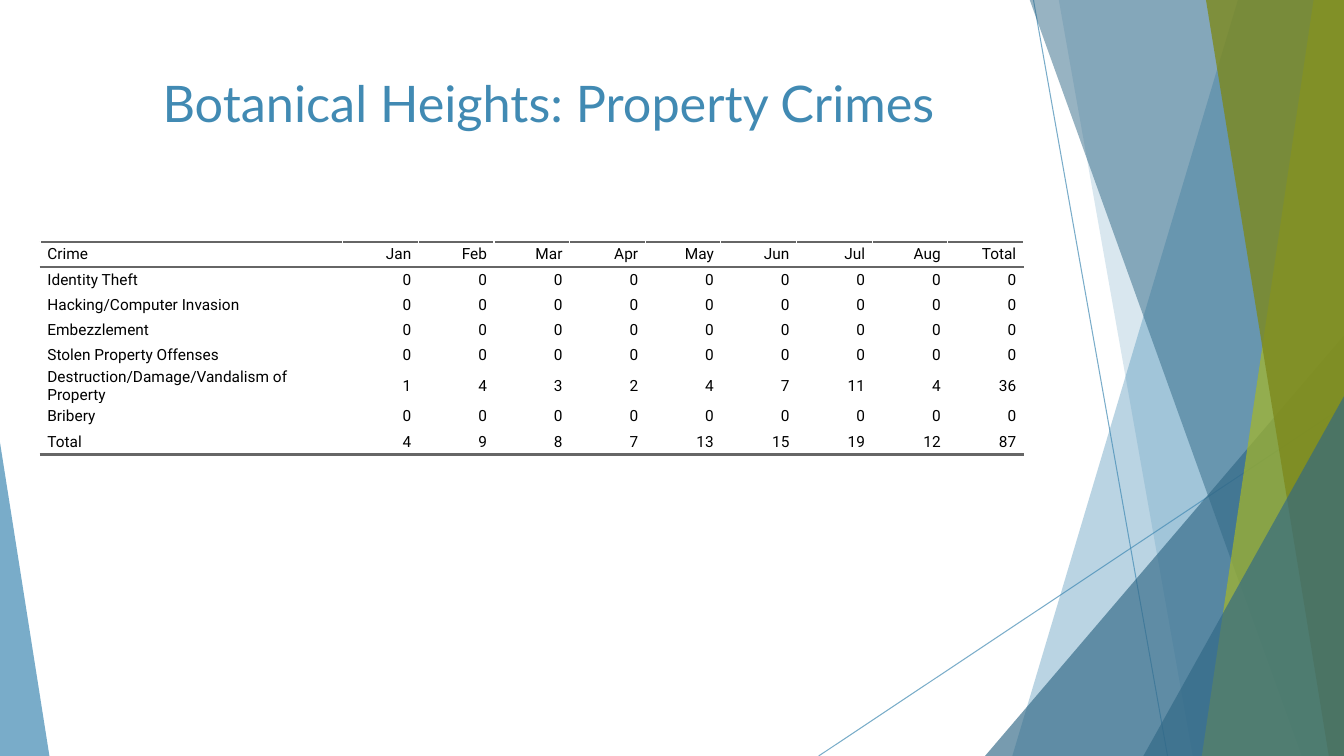
"""Build the Botanical Heights property crime slide."""
from dataclasses import dataclass

from lxml import etree
from pptx import Presentation
from pptx import util as u
from pptx.dml.color import RGBColor
from pptx.enum import shapes, text
from pptx.oxml.ns import qn

SCALE = 9144
WIDE, HIGH = 1333, 750
COLORS = {"sky": "418AB3", "navy": "316886", "lime": "A6B727",
          "olive": "7D891D", "rule": "666666", "ink": "000000"}
INSET = 7

HEAD = ["Crime", "Jan", "Feb", "Mar", "Apr", "May", "Jun", "Jul", "Aug", "Total"]
CRIMES = {
    "Identity Theft": [0] * 9,
    "Hacking/Computer Invasion": [0] * 9,
    "Embezzlement": [0] * 9,
    "Stolen Property Offenses": [0] * 9,
    "Destruction/Damage/Vandalism of Property": [1, 4, 3, 2, 4, 7, 11, 4, 36],
    "Bribery": [0] * 9,
    "Total": [4, 9, 8, 7, 13, 15, 19, 12, 87],
}


@dataclass
class Ray:
    """A thin line between two points."""
    start: tuple[int, int]
    end: tuple[int, int]


@dataclass
class Band:
    """A band from its slanted left edge to the right edge of the slide."""
    top: int
    foot: int
    color: str
    alpha: int


@dataclass
class Wedge:
    """A right triangle that stands on the bottom edge of the slide."""
    left: int
    top: int
    width: int
    tip: int
    color: str
    alpha: int


RAYS = [Ray((1025, 0), (1158, HIGH)), Ray((WIDE, 403), (812, HIGH))]
PANES = [
    Band(1228, 1004, "sky", 36),
    Band(1050, 1183, "sky", 20),
    Wedge(977, 333, 356, 1, "navy", 66),
    Band(1021, 1291, "navy", 50),
    Band(1303, 1192, "lime", 70),
    Band(1196, 1318, "olive", 80),
    Wedge(1134, 393, 199, 1, "navy", 66),
    Wedge(0, 439, 49, 0, "sky", 70),
]


def px(size: int) -> u.Emu:
    """Turn px into EMU."""
    return u.Emu(size * SCALE)


def rgb(name: str) -> RGBColor:
    """Look up a colour."""
    return RGBColor.from_string(COLORS[name])


def fade(fill, color: str, alpha: int) -> None:
    """Fill with a colour of the given opacity."""
    fill.solid()
    fill.fore_color.rgb = rgb(color)
    tint = fill._xPr.find(".//" + qn("a:srgbClr"))
    etree.SubElement(tint, qn("a:alpha"), val=str(alpha * 1000))


def draw_ray(slide, ray: Ray) -> None:
    """Draw one thin line."""
    line = slide.shapes.add_connector(
        shapes.MSO_CONNECTOR.STRAIGHT, *map(px, ray.start + ray.end))
    line.line.width = u.Pt(0.75)
    fade(line.line.fill, "sky", 70)
    etree.SubElement(line._element.spPr, qn("a:effectLst"))


def draw_pane(slide, pane: Band | Wedge) -> None:
    """Draw one translucent band or wedge."""
    if isinstance(pane, Band):
        pen = slide.shapes.build_freeform(pane.top, -1, scale=SCALE)
        pen.add_line_segments([(WIDE, -1), (WIDE, HIGH), (pane.foot, HIGH)])
        shape = pen.convert_to_shape()
    else:
        shape = slide.shapes.add_shape(
            shapes.MSO_SHAPE.ISOSCELES_TRIANGLE, px(pane.left), px(pane.top),
            px(pane.width), px(HIGH - pane.top))
        shape.adjustments[0] = pane.tip
    shape.shadow.inherit = False
    shape.line.fill.background()
    fade(shape.fill, pane.color, pane.alpha)


def rule(cell, side: str) -> None:
    """Draw a border on one side of a cell."""
    line = etree.SubElement(cell._tc.get_or_add_tcPr(), qn(f"a:ln{side}"),
                            w=str(u.Pt(2)))
    fill = etree.SubElement(line, qn("a:solidFill"))
    etree.SubElement(fill, qn("a:srgbClr"), val=COLORS["rule"])


def fill_cell(cell, value: str, first: bool, sides: str) -> None:
    """Write and format one table cell."""
    for side in sides:
        rule(cell, side)
    cell.fill.background()
    cell.margin_left = cell.margin_right = cell.margin_top = cell.margin_bottom = 0
    cell.vertical_anchor = text.MSO_ANCHOR.MIDDLE
    cell.text = value
    para = cell.text_frame.paragraphs[0]
    para.alignment = text.PP_ALIGN.LEFT if first else text.PP_ALIGN.RIGHT
    para.space_before = para.space_after = u.Pt(5)
    para.font.size, para.font.name = u.Pt(11), "Roboto"
    para.font.color.rgb = rgb("ink")
    props = para._p.get_or_add_pPr()
    for name in ("marL", "marR"):
        props.set(name, str(px(INSET)))


def draw_table(slide) -> None:
    """Draw the table of crimes by month."""
    rows = [HEAD] + [[name, *map(str, nums)] for name, nums in CRIMES.items()]
    widths = [300] + [75] * (len(HEAD) - 1)
    table = slide.shapes.add_table(
        len(rows), len(HEAD), px(40), px(240), px(sum(widths)),
        px(25 * len(rows))).table
    table.first_row = table.horz_banding = False
    for col, width in zip(table.columns, widths):
        col.width = px(width)
    edges = {0: "TB", len(rows) - 1: "B"}
    for r, row in enumerate(rows):
        for c, value in enumerate(row):
            fill_cell(table.cell(r, c), value, c == 0, edges.get(r, ""))


def set_title(slide) -> None:
    """Place and format the title."""
    title = slide.shapes.title
    title.left, title.top, title.width, title.height = map(px, (74, 67, 940, 144))
    frame = title.text_frame
    frame.text = "Botanical Heights: Property Crimes"
    frame.auto_size = text.MSO_AUTO_SIZE.NONE
    frame.vertical_anchor = text.MSO_ANCHOR.TOP
    para = frame.paragraphs[0]
    para.alignment = text.PP_ALIGN.CENTER
    para.font.size, para.font.name = u.Pt(36), "Lato"
    para.font.color.rgb = rgb("sky")


def main() -> None:
    """Build and save the slide."""
    deck = Presentation()
    deck.slide_width, deck.slide_height = px(WIDE), px(HIGH)
    slide = deck.slides.add_slide(deck.slide_layouts.get_by_name("Title Only"))
    for ray in RAYS:
        draw_ray(slide, ray)
    for pane in PANES:
        draw_pane(slide, pane)
    draw_table(slide)
    set_title(slide)
    deck.save("out.pptx")


if __name__ == "__main__":
    main()
